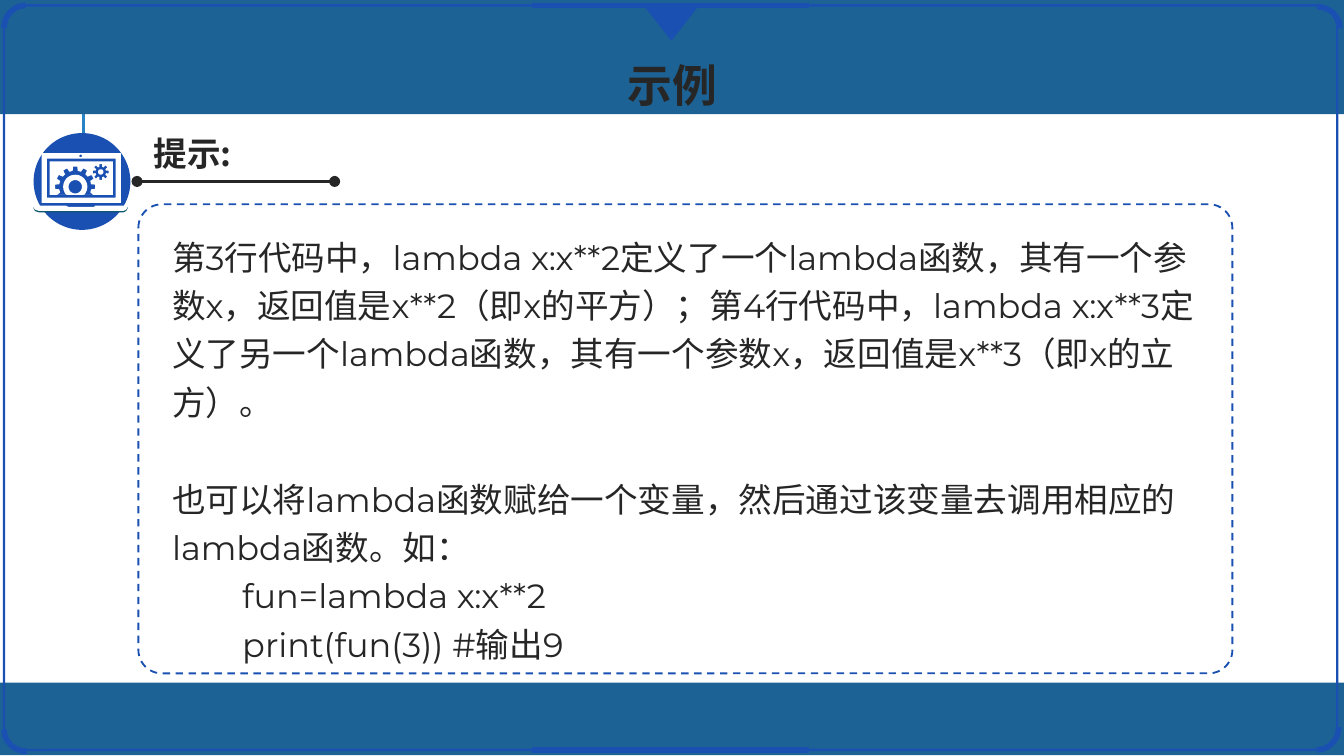
"""Build the lambda example slide with its frame, tip text and laptop icon."""
from dataclasses import dataclass
from math import cos, pi, sin
from typing import Any, Optional

from lxml.etree import SubElement
from pptx import Presentation
from pptx.dml.color import RGBColor
from pptx.enum.dml import MSO_LINE
from pptx.enum.shapes import MSO_CONNECTOR, MSO_SHAPE as Preset
from pptx.enum.text import MSO_ANCHOR, MSO_AUTO_SIZE as AutoSize, PP_ALIGN as Align
from pptx.oxml.ns import qn
from pptx.util import Inches, Pt

BLUE, BAND, INK, WHITE = "1950B2", "1D6294", "262626", "FFFFFF"
LATIN, CHINESE = "Montserrat", "Noto Sans CJK SC"
Points = list[tuple[float, float]]


@dataclass
class Area:
    """A rectangle in inches."""
    left: float
    top: float
    width: float
    height: float

    def lengths(self) -> list[int]:
        """Return the four measures as lengths."""
        return [Inches(v) for v in (self.left, self.top, self.width, self.height)]


@dataclass
class Passage:
    """A body paragraph and the space above it in points."""
    text: str
    before: float = 0


@dataclass
class Corner:
    """The centre and turn of a frame corner arc."""
    x: float
    y: float
    turn: int


PASSAGES = [
    Passage("第3行代码中，lambda x:x**2定义了一个lambda函数，其有一个参数x，"
            "返回值是x**2（即x的平方）；第4行代码中，lambda x:x**3定义了另一个lambda函数，"
            "其有一个参数x，返回值是x**3（即x的立方）。"),
    Passage("也可以将lambda函数赋给一个变量，然后通过该变量去调用相应的lambda函数。如：", 26),
    Passage("        fun=lambda x:x**2"),
    Passage("        print(fun(3)) #输出9"),
]
BANDS = [Area(0, 5.08, 10, 0.54), Area(0, -0.03, 10, 0.88)]
CORNERS = [Corner(0.19, 0.21, 270), Corner(0.2, 5.43, 180),
           Corner(9.8, 0.21, 0), Corner(9.8, 5.41, 90)]


def color(value: str) -> RGBColor:
    """Turn a hex string into a colour."""
    return RGBColor.from_string(value)


def paint(shape: Any, fill: Optional[str], line: Optional[str], weight: float) -> None:
    """Set the fill and line of a shape and drop its shadow."""
    shape.shadow.inherit = False
    if fill:
        shape.fill.solid()
        shape.fill.fore_color.rgb = color(fill)
    else:
        shape.fill.background()
    if line:
        shape.line.color.rgb = color(line)
        shape.line.width = Pt(weight)
    else:
        shape.line.fill.background()


def add_preset(shapes: Any, kind: Preset, area: Area, fill: Optional[str] = None,
               line: Optional[str] = None, weight: float = 1, turn: int = 0) -> Any:
    """Draw a preset shape."""
    shape = shapes.add_shape(kind, *area.lengths())
    paint(shape, fill, line, weight)
    shape.rotation = turn
    return shape


def add_line(shapes: Any, start: tuple[float, float], end: tuple[float, float],
             line: str, weight: float, dots: bool = False) -> None:
    """Draw a straight line, with round ends if wanted."""
    connector = shapes.add_connector(
        MSO_CONNECTOR.STRAIGHT, *[Inches(v) for v in (*start, *end)])
    connector.line.color.rgb = color(line)
    connector.line.width = Pt(weight)
    if dots:
        for tag in ("a:headEnd", "a:tailEnd"):
            SubElement(connector.line._get_or_add_ln(), qn(tag), type="oval")
    SubElement(connector._element.spPr, qn("a:effectLst"))


def add_outline(shapes: Any, contours: list[Points], fill: str) -> None:
    """Draw a filled outline whose later contours are holes."""
    scaled = [[(Inches(x), Inches(y)) for x, y in contour] for contour in contours]
    builder = shapes.build_freeform(*scaled[0][0])
    builder.add_line_segments(scaled[0][1:])
    for hole in scaled[1:]:
        builder.move_to(*hole[0])
        builder.add_line_segments(hole[1:])
    paint(builder.convert_to_shape(), fill, None, 0)


def box_points(area: Area) -> Points:
    """Return the corners of a rectangle."""
    right, bottom = area.left + area.width, area.top + area.height
    return [(area.left, area.top), (right, area.top), (right, bottom), (area.left, bottom)]


def ring_points(x: float, y: float, radius: float, floor: float = 9) -> Points:
    """Return a circle cut off below the floor."""
    angles = [2 * pi * step / 36 for step in range(36)]
    return [(x + radius * cos(a), min(floor, y + radius * sin(a))) for a in angles]


def gear_points(x: float, y: float, outer: float, inner: float, teeth: int,
                floor: float = 9) -> Points:
    """Return a toothed wheel cut off below the floor."""
    points = []
    for tooth in range(teeth):
        for part, radius in ((-0.3, inner), (-0.2, outer), (0.2, outer), (0.3, inner)):
            angle = 2 * pi * (tooth + part) / teeth
            points.append((x + radius * cos(angle), min(floor, y + radius * sin(angle))))
    return points


def prepare(frame: Any, wrap: bool) -> None:
    """Give a text frame its margins, wrapping and anchor."""
    frame.margin_left = frame.margin_right = Inches(0.07)
    frame.margin_top = frame.margin_bottom = Inches(0.04)
    frame.word_wrap = wrap
    frame.vertical_anchor = MSO_ANCHOR.TOP
    frame.auto_size = AutoSize.SHAPE_TO_FIT_TEXT


def add_span(para: Any, text: str, size: float, font: str, bold: bool = False) -> None:
    """Add a run with Latin and Chinese fonts."""
    span = para.add_run()
    span.text = text
    span.font.size, span.font.bold, span.font.name = Pt(size), bold, font
    span.font.color.rgb = color(INK)
    SubElement(span._r.get_or_add_rPr(), qn("a:ea"), typeface=CHINESE)


def fill_heading(box: Any, area: Area, text: str, size: float) -> None:
    """Place a one-line bold heading."""
    box.left, box.top, box.width, box.height = area.lengths()
    prepare(box.text_frame, False)
    para = box.text_frame.paragraphs[0]
    para.alignment = Align.CENTER
    para.space_before = Pt(0)
    add_span(para, text, size, CHINESE, True)


def fill_body(box: Any, area: Area) -> None:
    """Place the explanation paragraphs."""
    box.left, box.top, box.width, box.height = area.lengths()
    prepare(box.text_frame, True)
    for index, passage in enumerate(PASSAGES):
        para = box.text_frame.add_paragraph() if index else box.text_frame.paragraphs[0]
        properties = para._p.get_or_add_pPr()
        properties.set("marL", "0")
        properties.set("indent", "0")
        SubElement(properties, qn("a:buNone"))
        para.line_spacing = 1.2
        para.space_before = Pt(passage.before)
        add_span(para, passage.text, 18, LATIN)


def draw_frame(shapes: Any) -> None:
    """Draw the border with its corners and edge bars."""
    border = add_preset(shapes, Preset.ROUNDED_RECTANGLE, Area(0.03, 0.04, 9.92, 5.54),
                        None, BLUE, 1.25)
    border.adjustments[0] = 0.03
    for corner in CORNERS:
        area = Area(corner.x - 0.17, corner.y - 0.16, 0.34, 0.32)
        add_preset(shapes, Preset.ARC, area, None, BLUE, 3, corner.turn)
    for y in (0.04, 5.58):
        add_line(shapes, (3.96, y), (6.02, y), BLUE, 3)


def draw_laptop(shapes: Any) -> None:
    """Draw the round laptop icon with two gears."""
    add_preset(shapes, Preset.OVAL, Area(0.25, 0.99, 0.72, 0.72), BLUE)
    base = [(0.95, 1.53), (0.71, 1.53), (0.7, 1.54), (0.51, 1.54), (0.49, 1.53), (0.25, 1.53),
            (0.25, 1.54), (0.26, 1.56), (0.29, 1.57), (0.92, 1.57), (0.94, 1.56), (0.95, 1.54)]
    bezel = [box_points(Area(0.31, 1.14, 0.59, 0.37)), ring_points(0.6, 1.16, 0.01),
             box_points(Area(0.35, 1.18, 0.51, 0.29))]
    screen = [box_points(Area(0.37, 1.2, 0.47, 0.25)),
              gear_points(0.56, 1.39, 0.15, 0.12, 12, 1.45),
              gear_points(0.75, 1.28, 0.06, 0.04, 8)]
    hub = [ring_points(0.56, 1.39, 0.09, 1.45), ring_points(0.56, 1.39, 0.05)]
    add_outline(shapes, [[(x, y + 0.01) for x, y in base]], "0E5772")
    for contours in (bezel, [base], [ring_points(0.75, 1.28, 0.02)], screen, hub):
        add_outline(shapes, contours, WHITE)


def main() -> None:
    """Assemble and save the slide."""
    deck = Presentation()
    deck.slide_width, deck.slide_height = Inches(10), Inches(10 * 9 / 16)
    page = deck.slides.add_slide(deck.slide_layouts[1])
    shapes = page.shapes
    title, body = shapes.title, page.placeholders[1]
    add_line(shapes, (0.62, 1.43), (0.62, 0.68), "2683C6", 1.5)
    for band in BANDS:
        add_preset(shapes, Preset.RECTANGLE, band, BAND)
    draw_frame(shapes.add_group_shape().shapes)
    add_preset(shapes, Preset.ISOSCELES_TRIANGLE, Area(4.8, 0.04, 0.39, 0.25),
               BLUE, BLUE, 1.25, 180)
    for holder in (title, body):
        shapes._spTree.append(holder._element)
    fill_heading(title, Area(4.59, 0.39, 0.82, 0.48), "示例", 24)
    tip = Area(1.07, 0.95, 0.73, 0.38)
    fill_heading(shapes.add_textbox(*tip.lengths()), tip, "提示:", 18)
    fill_body(body, Area(1.21, 1.66, 7.76, 3.35))
    add_line(shapes, (1.02, 1.35), (2.49, 1.35), INK, 1.5, True)
    panel = add_preset(shapes, Preset.ROUNDED_RECTANGLE, Area(1.03, 1.52, 8.14, 3.49),
                       None, BLUE, 1)
    panel.adjustments[0] = 0.05
    panel.line.dash_style = MSO_LINE.DASH
    draw_laptop(shapes.add_group_shape().shapes)
    deck.save("out.pptx")


if __name__ == "__main__":
    main()
